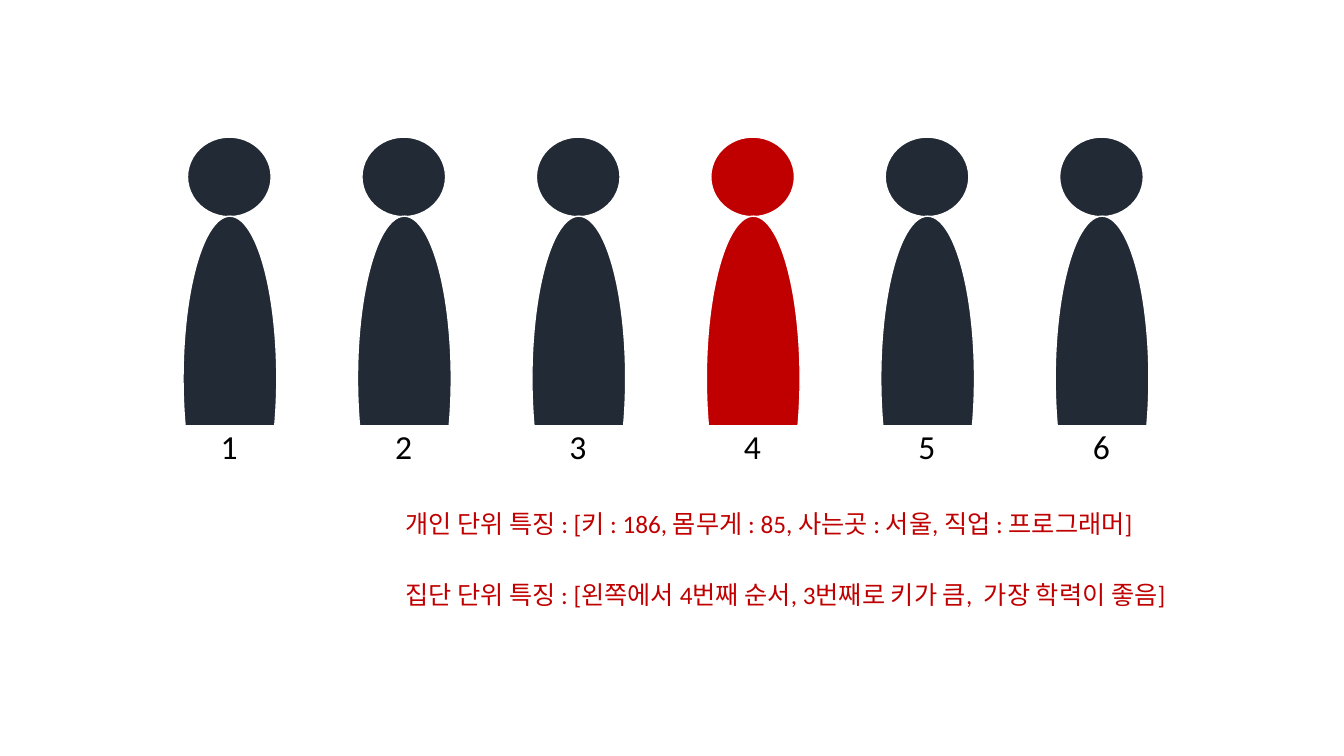
import dataclasses

import pptx
import pptx.dml.color
import pptx.enum.shapes
import pptx.enum.text
import pptx.util

PX = 9144  # EMU per px, 100 px to the inch


@dataclasses.dataclass(frozen=True)
class Theme:
    font: str = "Calibri"
    dark: str = "222A35"
    accent: str = "C00000"
    outline: str = "FFFFFF"
    text: str = "000000"
    number_size: int = 24
    feature_size: int = 18
    outline_width: int = 1


THEME = Theme()

# People in the row
PERSON_COUNT = 6
CHOSEN_PERSON = 4
PERSON_PITCH = 173
HEAD_LEFT, BODY_LEFT, NUMBER_LEFT = 186, 67, 209

FEATURES = [
    ("개인 단위 특징 : [키 : 186, 몸무게 : 85, 사는곳 : 서울, 직업 : 프로그래머]", 499, 795),
    ("집단 단위 특징 : [왼쪽에서 4번째 순서, 3번째로 키가 큼,  가장 학력이 좋음]", 570, 837),
]


def rgb(color):
    return pptx.dml.color.RGBColor.from_string(color)


def box(left, top, width, height):
    return [pptx.util.Emu(length * PX) for length in (left, top, width, height)]


def add_figure_part(slide, kind, place, color):
    shape = slide.shapes.add_shape(kind, *box(*place))
    shape.shadow.inherit = False
    shape.fill.solid()
    shape.fill.fore_color.rgb = rgb(color)
    shape.line.color.rgb = rgb(THEME.outline)
    shape.line.width = pptx.util.Pt(THEME.outline_width)
    return shape


def add_person(slide, offset, color):
    kinds = pptx.enum.shapes.MSO_SHAPE
    add_figure_part(slide, kinds.OVAL, (HEAD_LEFT + offset, 136, 83, 79), color)
    # The body is a chord turned upright, with its flat side at the bottom
    body = add_figure_part(slide, kinds.CHORD, (BODY_LEFT + offset, 329, 322, 93), color)
    body.rotation = 90
    body.adjustments[0] = 26.09
    body.adjustments[1] = 189.94


def add_text(slide, text, place, *, size, color):
    text_box = slide.shapes.add_textbox(*box(*place))
    frame = text_box.text_frame
    frame.word_wrap = False
    frame.auto_size = pptx.enum.text.MSO_AUTO_SIZE.SHAPE_TO_FIT_TEXT
    run = frame.paragraphs[0].add_run()
    run.text = text
    run.font.name = THEME.font
    run.font.size = pptx.util.Pt(size)
    run.font.color.rgb = rgb(color)


def main():
    presentation = pptx.Presentation()
    presentation.slide_width = pptx.util.Emu(1333 * PX)
    presentation.slide_height = pptx.util.Emu(750 * PX)
    slide = presentation.slides.add_slide(presentation.slide_layouts[6])

    # Row of numbered people, one of them picked out
    for number in range(1, PERSON_COUNT + 1):
        offset = (number - 1) * PERSON_PITCH
        add_person(slide, offset, THEME.accent if number == CHOSEN_PERSON else THEME.dark)
        add_text(slide, str(number), (NUMBER_LEFT + offset, 418, 37, 50),
                 size=THEME.number_size, color=THEME.text)

    # Features of the chosen person
    for feature, top, width in FEATURES:
        add_text(slide, feature, (392, top, width, 40),
                 size=THEME.feature_size, color=THEME.accent)

    presentation.save("out.pptx")


if __name__ == "__main__":
    main()
